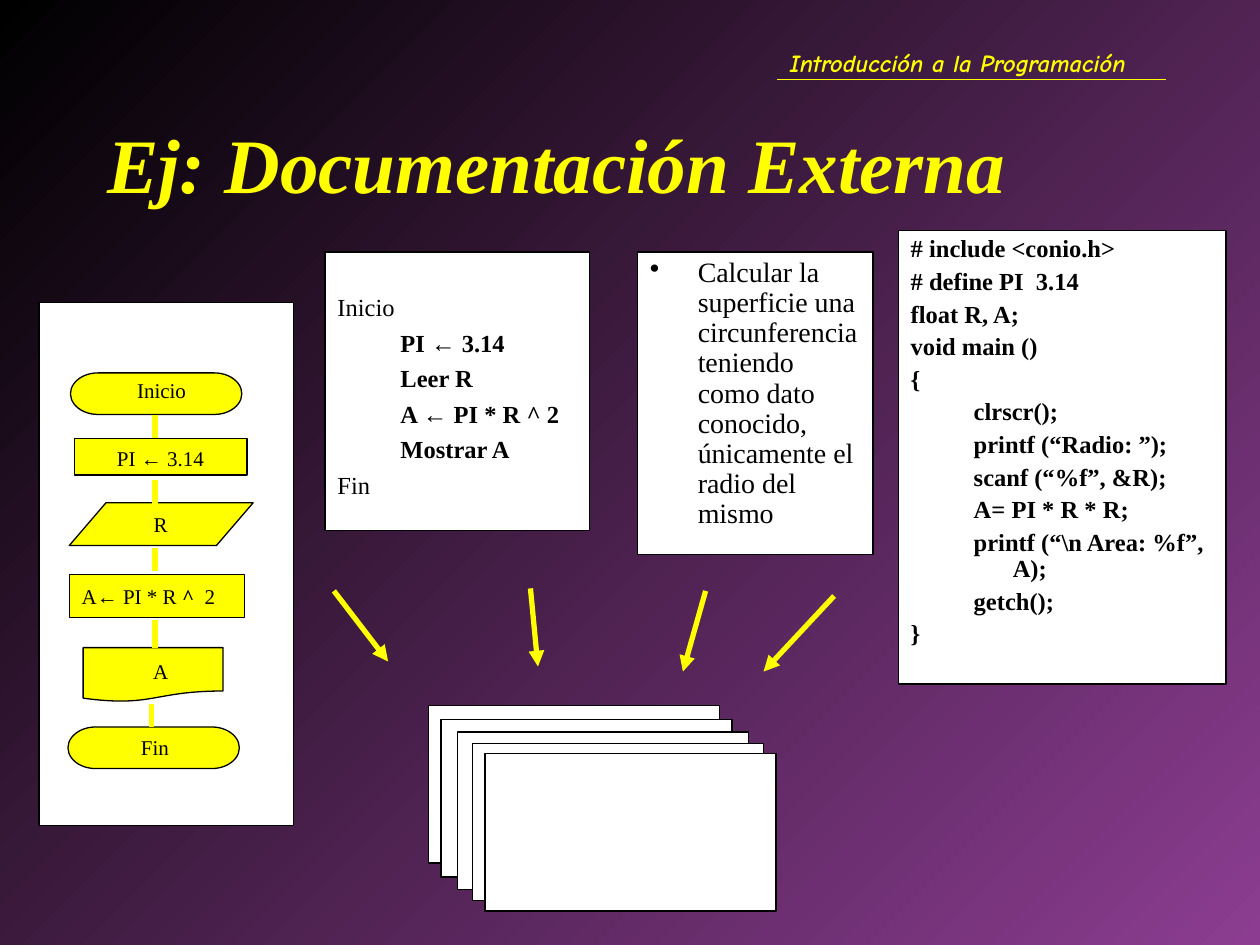
from dataclasses import dataclass
from itertools import groupby

from lxml import etree
from pptx import Presentation
from pptx.dml.color import RGBColor
from pptx.enum.shapes import MSO_CONNECTOR, MSO_SHAPE
from pptx.enum.text import MSO_ANCHOR, MSO_AUTO_SIZE, PP_ALIGN
from pptx.oxml.ns import qn
from pptx.util import Inches, Pt

LINE = MSO_CONNECTOR.STRAIGHT
RECTANGLE = MSO_SHAPE.RECTANGLE
TERMINATOR = MSO_SHAPE.FLOWCHART_TERMINATOR
DATA = MSO_SHAPE.FLOWCHART_DATA
PROCESS = MSO_SHAPE.FLOWCHART_PROCESS
DOCUMENT = MSO_SHAPE.FLOWCHART_DOCUMENT
TOP, MIDDLE = MSO_ANCHOR.TOP, MSO_ANCHOR.MIDDLE
LEFT, CENTER = PP_ALIGN.LEFT, PP_ALIGN.CENTER
FIXED, GROW = MSO_AUTO_SIZE.NONE, MSO_AUTO_SIZE.SHAPE_TO_FIT_TEXT

COLUMNS, ROWS, CELL = 100, 75, 0.1  # page grid, cell side in inches


@dataclass(frozen=True)
class Theme:
    black: str = "000000"
    white: str = "FFFFFF"
    yellow: str = "FFFF00"
    purple: str = "8C3D91"
    serif: str = "Times New Roman"
    symbol: str = "Arial"
    script: str = "Comic Neue"
    title: int = 44
    body: int = 16
    code: int = 14
    label: int = 12
    outline: float = 0.75
    stroke: int = 3


THEME = Theme()
SPECIAL = {"←": {"name": THEME.symbol}, "^": {"bold": True}}
INDENTS = ((0.38, -0.38), (0.81, -0.31))


@dataclass(frozen=True)
class Box:
    """A region of the page grid, in columns and rows."""
    left: float
    top: float
    width: float
    height: float

    def inner(self, left, top, width, height):
        return Box(self.left + left, self.top + top, width, height)

    def place(self):
        return [grid(n) for n in (self.left, self.top, self.width, self.height)]


def grid(cells):
    return Inches(cells * CELL)


def rgb(value):
    return RGBColor.from_string(value)


def apply(target, values):
    for name, value in values.items():
        setattr(target, name, value)


def add_spans(para, text, size, color=THEME.black, font=THEME.serif, **style):
    for special, letters in groupby(text, SPECIAL.get):
        span = para.add_run()
        span.text = "".join(letters)
        values = {"name": font, "size": Pt(size), **style, **(special or {})}
        apply(span.font, values)
        span.font.color.rgb = rgb(color)


def set_frame(frame, anchor=TOP, fit=FIXED, top=0.05):
    apply(frame, {"word_wrap": True, "auto_size": fit, "vertical_anchor": anchor,
                  "margin_left": Inches(0.1), "margin_right": Inches(0.1),
                  "margin_top": Inches(top), "margin_bottom": Inches(0.05)})


def add_panel(shapes, kind, box, fill):
    panel = shapes.add_shape(kind, *box.place())
    panel.shadow.inherit = False
    panel.fill.solid()
    panel.fill.fore_color.rgb = rgb(fill)
    panel.line.color.rgb = rgb(THEME.black)
    panel.line.width = Pt(THEME.outline)
    return panel


def add_label(shapes, box, text, size, align=LEFT, **style):
    label = shapes.add_textbox(*box.place())
    set_frame(label.text_frame, fit=GROW)
    para = label.text_frame.paragraphs[0]
    para.alignment = align
    add_spans(para, text, size, **style)


def add_line(shapes, start, end, width=THEME.stroke, arrow=False):
    line = shapes.add_connector(LINE, *map(grid, (*start, *end)))
    line.line.color.rgb = rgb(THEME.yellow)
    line.line.width = Pt(width)
    props = line._element.spPr
    if arrow:
        etree.SubElement(props.find(qn("a:ln")), qn("a:tailEnd"), type="triangle")
    etree.SubElement(props, qn("a:effectLst"))


def add_text_panel(page, box, lines, size, spacing=1.0, before=3.5, top=0.05, bullet=None):
    """White panel; each line is (level, bold, text)."""
    frame = add_panel(page.shapes, RECTANGLE, box, THEME.white).text_frame
    set_frame(frame, top=top)
    for number, (level, bold, text) in enumerate(lines):
        para = frame.add_paragraph() if number else frame.paragraphs[0]
        apply(para, {"level": level, "alignment": LEFT, "line_spacing": spacing,
                     "space_before": Pt(before)})
        margin, indent = INDENTS[level]
        props = para._p.get_or_add_pPr()
        props.set("marL", str(Inches(margin)))
        props.set("indent", str(Inches(indent)))
        if bullet:
            color = etree.SubElement(props, qn("a:buClr"))
            etree.SubElement(color, qn("a:srgbClr"), val=THEME.black)
            etree.SubElement(props, qn("a:buChar"), char=bullet)
        add_spans(para, text, size, bold=bold)


def add_header(page, box):
    add_label(page.shapes, box, "Introducción a la Programación", THEME.code,
              color=THEME.yellow, font=THEME.script, bold=True, italic=True)
    rule = box.top + 3
    add_line(page.shapes, (box.left, rule), (box.left + 30.8, rule), THEME.outline)


def add_title(page, box):
    title = page.shapes.title
    apply(title, dict(zip(("left", "top", "width", "height"), box.place())))
    set_frame(title.text_frame, anchor=MIDDLE)
    para = title.text_frame.paragraphs[0]
    para.alignment = LEFT
    add_spans(para, "Ej: Documentación Externa", THEME.title, THEME.yellow,
              bold=True, italic=True)


def add_flowchart(page, box):
    add_panel(page.shapes, RECTANGLE, box, THEME.white)
    shapes = page.shapes.add_group_shape().shapes
    # Symbol, its place, label, place of the label, alignment
    steps = (
        (TERMINATOR, (2.5, 5.6, 13.6, 3.3), "Inicio", (6.8, 5.5, 8.3), LEFT),
        (RECTANGLE, (2.8, 10.8, 13.7, 2.9), "PI ← 3.14", (5.2, 10.9, 9.5), LEFT),
        (DATA, (2.4, 15.9, 14.6, 3.4), "R", (4.9, 16.1, 9.5), CENTER),
        (PROCESS, (2.4, 21.6, 13.9, 3.4), "A← PI * R ^  2", (2.4, 21.8, 13.9), LEFT),
        (DOCUMENT, (3.5, 27.4, 11.1, 4.3), "A", (4.7, 27.8, 9.9), CENTER),
        (TERMINATOR, (2.3, 33.7, 13.6, 3.3), "Fin", (7.1, 33.8, 8.3), LEFT),
    )
    for kind, place, text, label, align in steps:
        add_panel(shapes, kind, box.inner(*place), THEME.yellow)
        add_label(shapes, box.inner(*label, 3), text, THEME.label, align)
    # Links between consecutive steps
    for x, start, end in ((9.2, 8.9, 10.8), (9.2, 14.1, 16), (9.2, 19.5, 21.3),
                          (9.2, 25.2, 27.4), (8.9, 31.9, 33.7)):
        add_line(shapes, (box.left + x, box.top + start), (box.left + x, box.top + end))


def add_sheet_stack(page, box):
    for left, top in ((0, 0), (1, 1.1), (2.3, 2.1), (3.5, 3), (4.5, 3.8)):
        add_panel(page.shapes, RECTANGLE, box.inner(left, top, box.width, box.height),
                  THEME.white)


def add_arrows(page):
    for start, end in (((26.5, 46.9), (30.8, 52.5)), ((42.1, 46.7), (42.7, 52.9)),
                       ((66.2, 47.3), (60.6, 53.3)), ((56, 46.9), (54.2, 53.3))):
        add_line(page.shapes, start, end, arrow=True)


STATEMENT = ((0, False, "Calcular la superficie una circunferencia teniendo como dato "
                        "conocido, únicamente el radio del mismo"),)
PSEUDOCODE = ((0, False, "Inicio"), (1, True, "PI ← 3.14"), (1, True, "Leer R"),
              (1, True, "A ← PI * R ^ 2"), (1, True, "Mostrar A"), (0, False, "Fin"))
PROGRAM = [(0, True, line) for line in
           ("# include <conio.h>", "# define PI  3.14", "float R, A;", "void main ()", "{")]
PROGRAM += [(1, True, line) for line in
            ("clrscr();", "printf (“Radio: ”);", "scanf (“%f”, &R);", "A= PI * R * R;",
             "printf (“\\n Area: %f”, A);", "getch();")]
PROGRAM.append((0, True, "}"))


def main():
    deck = Presentation()
    deck.slide_width, deck.slide_height = grid(COLUMNS), grid(ROWS)
    page = deck.slides.add_slide(deck.slide_layouts[5])

    # Diagonal background
    fill = page.background.fill
    fill.gradient()
    fill.gradient_angle = 315
    for stop, color in zip(fill.gradient_stops, (THEME.black, THEME.purple)):
        stop.color.rgb = rgb(color)

    add_header(page, Box(61.7, 3.3, 32.5, 3.4))
    add_title(page, Box(7.5, 6.7, 85, 12.5))
    add_text_panel(page, Box(50.6, 20, 18.7, 24), STATEMENT, THEME.body,
                   spacing=0.9, before=4, bullet="•")
    add_text_panel(page, Box(25.8, 20, 21, 22.1), PSEUDOCODE, THEME.code, top=0.32)
    add_text_panel(page, Box(71.3, 18.3, 26, 36), PROGRAM, THEME.code, spacing=0.9)
    add_sheet_stack(page, Box(34, 56, 23.1, 12.5))
    add_arrows(page)
    add_flowchart(page, Box(3.1, 24, 20.2, 41.5))
    deck.save("out.pptx")


if __name__ == "__main__":
    main()
